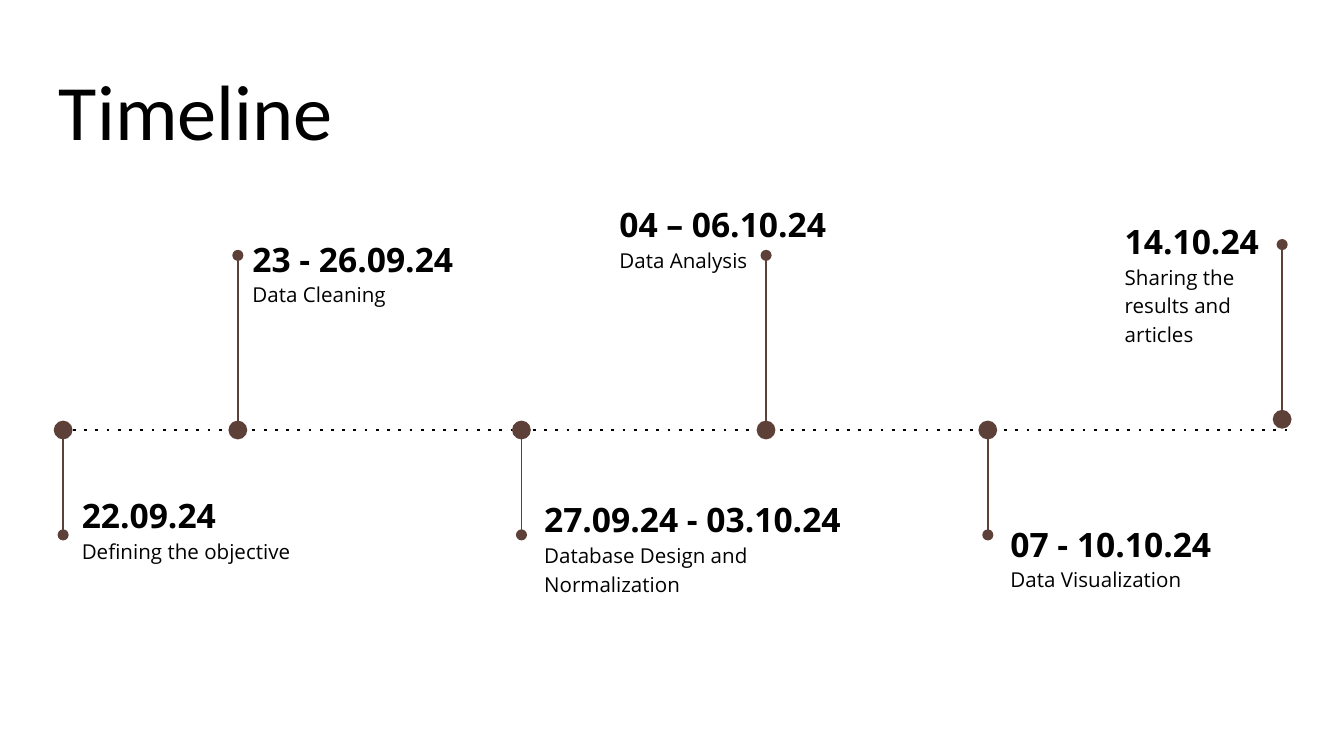
import pptx
import pptx.dml.color
import pptx.enum.shapes
import pptx.enum.text
import pptx.oxml.ns
import pptx.util
from lxml import etree

Inches = pptx.util.Inches
Pt = pptx.util.Pt
BROWN = pptx.dml.color.RGBColor(0x5D, 0x40, 0x37)
BLACK = pptx.dml.color.RGBColor(0x00, 0x00, 0x00)

PAGE_WIDTH = 10
PAGE_HEIGHT = PAGE_WIDTH * 9 / 16
AXIS_Y = 3.2
DOT_SIZE = 0.14
STEM_UP = 1.23
STEM_DOWN = 0.71

MILESTONES = [
    ("22.09.24", "Defining the objective", 0.47, AXIS_Y, False, (0.51, 3.54, 2.38, 1.32)),
    ("23 - 26.09.24", "Data Cleaning", 1.77, AXIS_Y, True, (1.78, 1.63, 2.38, 1.2)),
    ("27.09.24 - 03.10.24", "Database Design and Normalization", 3.88, AXIS_Y, False,
     (3.95, 3.57, 2.49, 1.32)),
    ("04 – 06.10.24", "Data Analysis", 5.7, AXIS_Y, True, (4.51, 1.37, 2.18, 1.2)),
    ("07 - 10.10.24", "Data Visualization", 7.35, AXIS_Y, False, (7.42, 3.75, 2.38, 1.32)),
    ("14.10.24", "Sharing the results and articles", 9.54, 3.12, True, (8.27, 1.5, 1.39, 1.2)),
]


def add_text(page, box, lines, anchor, spacing=None):
    frame = page.shapes.add_textbox(*map(Inches, box)).text_frame
    frame.word_wrap = True
    frame.vertical_anchor = anchor
    frame.margin_left = frame.margin_right = Inches(0.1)
    frame.margin_top = frame.margin_bottom = Inches(0.1)
    for index, (text, font_name, size, bold) in enumerate(lines):
        para = frame.add_paragraph() if index else frame.paragraphs[0]
        para.text = text
        para.line_spacing = spacing
        para.font.name = font_name
        para.font.size = Pt(size)
        para.font.bold = bold
        para.font.color.rgb = BLACK


def add_line(page, start, end, color, width, detail, value):
    line = page.shapes.add_connector(
        pptx.enum.shapes.MSO_CONNECTOR.STRAIGHT, *map(Inches, (*start, *end)))
    line.line.color.rgb = color
    line.line.width = Pt(width)
    qn = pptx.oxml.ns.qn
    etree.SubElement(line.line._get_or_add_ln(), qn(detail)).set(*value)
    etree.SubElement(line._element.spPr, qn("a:effectLst"))


def add_title(page, box):
    add_text(page, box, [("Timeline", "Calibri", 42, False)],
             pptx.enum.text.MSO_ANCHOR.BOTTOM)


def add_milestone(page, date, task, x, y, upward, box):
    radius = DOT_SIZE / 2
    dot = page.shapes.add_shape(
        pptx.enum.shapes.MSO_SHAPE.OVAL,
        *map(Inches, (x - radius, y - radius, DOT_SIZE, DOT_SIZE)))
    dot.shadow.inherit = False
    dot.fill.solid()
    dot.fill.fore_color.rgb = BROWN
    dot.line.fill.background()
    start = y - radius if upward else y + radius
    end = start - STEM_UP if upward else start + STEM_DOWN
    add_line(page, (x, start), (x, end), BROWN, 0.75, "a:tailEnd", ("type", "oval"))
    add_text(page, box, [(date, "Open Sans", 18, True), (task, "Open Sans", 11, False)],
             pptx.enum.text.MSO_ANCHOR.TOP, 1.15)


def add_timeline(page):
    add_line(page, (0.46, AXIS_Y), (9.58, AXIS_Y), BLACK, 1.5, "a:prstDash", ("val", "dot"))
    for milestone in MILESTONES:
        add_milestone(page, *milestone)


def main():
    deck = pptx.Presentation()
    deck.slide_width = Inches(PAGE_WIDTH)
    deck.slide_height = Inches(PAGE_HEIGHT)
    page = deck.slides.add_slide(deck.slide_layouts[6])
    add_title(page, (0.34, 0.35, 9.32, 0.91))
    add_timeline(page)
    deck.save("out.pptx")


if __name__ == "__main__":
    main()
